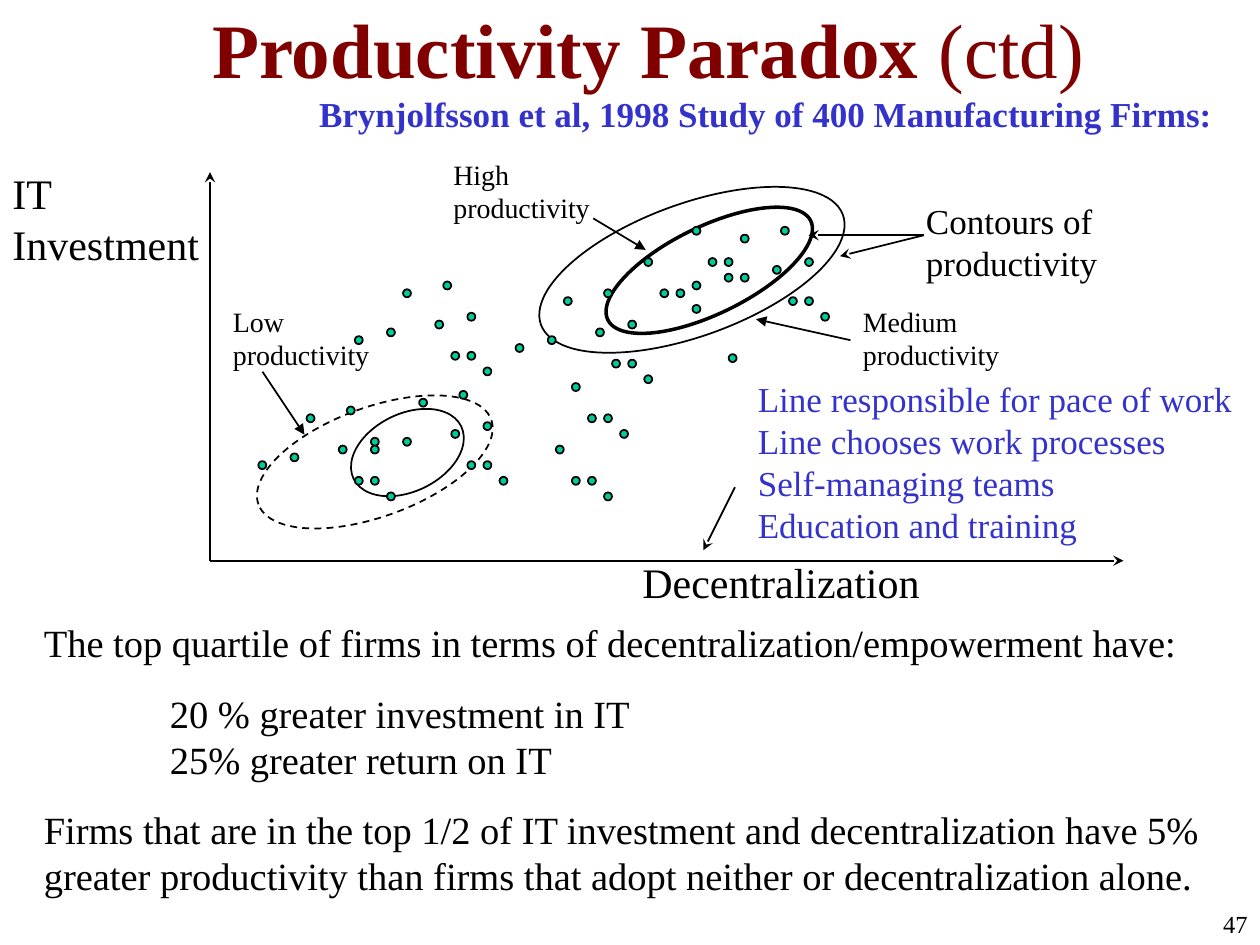
"""Build a slide on productivity, IT investment and decentralization."""
from lxml import etree
from pptx import Presentation
from pptx.dml.color import RGBColor
from pptx.enum.dml import MSO_LINE
from pptx.enum.shapes import MSO_CONNECTOR, MSO_SHAPE
from pptx.enum.text import MSO_ANCHOR, MSO_AUTO_SIZE, PP_ALIGN
from pptx.oxml.ns import qn
from pptx.util import Inches, Pt

BLACK = RGBColor(0x00, 0x00, 0x00)
MAROON = RGBColor(0x80, 0x00, 0x00)
BLUE = RGBColor(0x33, 0x33, 0xCC)
GREEN = RGBColor(0x00, 0xCC, 0x99)
FONT = "Times New Roman"
OVAL = MSO_SHAPE.OVAL
LINE = MSO_CONNECTOR.STRAIGHT
DASH = MSO_LINE.DASH
LEFT, RIGHT = PP_ALIGN.LEFT, PP_ALIGN.RIGHT
MIDDLE = MSO_ANCHOR.MIDDLE
FIXED = MSO_AUTO_SIZE.NONE

COLS, ROWS = 120, 90
CELL = Inches(10) / COLS
DOT = 0.76
DOT_X, DOT_Y = 24.6, 21.6
STEP_X, STEP_Y = 53.6 / 70, 25.3 / 34

FIRMS = {
    0: [54, 65], 1: [60], 4: [48, 56, 58, 68], 5: [64], 6: [58, 60],
    7: [23, 54], 8: [18, 43, 50, 52], 9: [38, 66, 68], 10: [54],
    11: [26, 70], 12: [22, 46], 13: [16, 42], 14: [12, 36], 15: [32],
    16: [24, 26], 16.3: [58.5], 17: [44, 46], 18: [28], 19: [48],
    20: [39], 21: [25], 22: [20], 23: [11], 24: [6, 41, 43], 25: [28],
    26: [24, 45], 27: [14, 18], 28: [10, 14, 37], 29: [4],
    30: [0, 26, 28], 32: [12, 14, 30, 39, 41], 34: [16, 43],
}
RINGS = [
    ((33.1, 39.4, 11.4, 7.4), 334, 1, None),
    ((56.8, 21.6, 21.5, 8.3), 334, 2, None),
    ((23.9, 38.8, 23.6, 10.4), 340, 1, DASH),
    ((50.6, 19.4, 30.6, 12.6), 340, 1, None),
]
ARROWS = [
    ((20, 53.4, 20, 16.4), "stealth"),
    ((20, 53.4, 107, 53.4), "stealth"),
    ((88, 22.4, 77, 22.4), "stealth"),
    ((88, 22.4, 80, 24.4), "stealth"),
    ((70, 46.4, 67, 52.4), "stealth"),
    ((25, 35.4, 29, 41.4), "triangle"),
    ((56.5, 20.8, 61.5, 23.8), "triangle"),
    ((81, 32.4, 72, 30.4), "triangle"),
]
LABELS = [
    ((87, 18.4, 22, 9.2), "Contours of productivity", 20, BLACK),
    ((0, 15.4, 22, 10.8), "IT Investment", 24, BLACK),
    ((60, 52.4, 41, 6), "Decentralization", 24, BLACK),
    ((71, 35.4, 49, 17.3), "Line responsible for pace of work\n"
     "Line chooses work processes\nSelf-managing teams\n"
     "Education and training", 20, BLUE),
    ((21, 28.4, 18, 7.7), "Low\nproductivity", 16, BLACK),
    ((42, 14.4, 18, 7.7), "High\nproductivity", 16, BLACK),
    ((81, 28.4, 18, 7.7), "Medium\nproductivity", 16, BLACK),
]
FINDINGS = [
    ("The top quartile of firms in terms of "
     "decentralization/empowerment have:", 0),
    ("20 % greater investment in IT\n25% greater return on IT", 1),
    ("Firms that are in the top 1/2 of IT investment and decentralization "
     "have 5% greater productivity than firms that adopt neither or "
     "decentralization alone.", 0),
]


def grid(*vals):
    """Turn grid cells into lengths."""
    return [round(val * CELL) for val in vals]


def write(para, text, size, color, bold=False):
    """Add one run per line of text to a paragraph."""
    for num, part in enumerate(text.split("\n")):
        if num:
            para.add_line_break()
        run = para.add_run()
        run.text = part
        font = run.font
        font.name, font.size, font.bold = FONT, Pt(size), bold
        font.color.rgb = color


def add_box(slide, box):
    """Add an empty wrapping text box and return its frame."""
    frame = slide.shapes.add_textbox(*grid(*box)).text_frame
    frame.word_wrap = True
    return frame


def add_label(slide, box, text, size, color, bold=False, align=LEFT):
    """Add a text box with one paragraph."""
    para = add_box(slide, box).paragraphs[0]
    para.alignment = align
    write(para, text, size, color, bold)


def add_title(slide):
    """Place and fill the title."""
    title = slide.shapes.title
    title.left, title.top, title.width, title.height = grid(19, 1, 101, 7)
    frame = title.text_frame
    frame.auto_size, frame.vertical_anchor = FIXED, MIDDLE
    para = frame.paragraphs[0]
    para.alignment = LEFT
    write(para, "Productivity Paradox ", 44, MAROON, True)
    write(para, "(ctd)", 44, MAROON)


def add_oval(slide, box, width=1, fill=None):
    """Add an outlined ellipse."""
    oval = slide.shapes.add_shape(OVAL, *grid(*box))
    oval.shadow.inherit = False
    if fill is None:
        oval.fill.background()
    else:
        oval.fill.solid()
        oval.fill.fore_color.rgb = fill
    oval.line.color.rgb = BLACK
    oval.line.width = Pt(width)
    return oval


def add_ring(slide, box, turn, width, dash):
    """Add a tilted productivity contour."""
    ring = add_oval(slide, box, width)
    ring.rotation = turn
    if dash:
        ring.line.dash_style = dash


def add_arrow(slide, ends, head):
    """Add a line with an arrowhead at its end."""
    arrow = slide.shapes.add_connector(LINE, *grid(*ends))
    arrow.line.color.rgb = BLACK
    arrow.line.width = Pt(1)
    props = arrow.element.spPr
    etree.SubElement(props.find(qn("a:ln")), qn("a:tailEnd"), type=head)
    etree.SubElement(props, qn("a:effectLst"))


def add_firms(slide):
    """Scatter the firms over the plot."""
    for row, cols in FIRMS.items():
        for col in cols:
            spot = (DOT_X + col * STEP_X, DOT_Y + row * STEP_Y, DOT, DOT)
            add_oval(slide, spot, fill=GREEN)


def add_body(slide):
    """Add the findings below the plot."""
    frame = add_box(slide, (3, 58.4, 115, 27.8))
    for num, (text, level) in enumerate(FINDINGS):
        para = frame.add_paragraph() if num else frame.paragraphs[0]
        if num:
            para.space_before = Pt(13.8)
        if level:
            props = para._p.get_or_add_pPr()
            props.set("marL", str(Inches(level)))
            props.set("indent", "0")
        write(para, text, 22, BLACK)


def main():
    """Build and save the slide."""
    deck = Presentation()
    deck.slide_width, deck.slide_height = grid(COLS, ROWS)
    slide = deck.slides.add_slide(deck.slide_layouts[5])
    add_title(slide)
    add_label(slide, (103, 86, 17, 4), "47", 14, BLACK, align=RIGHT)
    add_label(slide, (29.2, 8.2, 87.5, 5.2),
              "Brynjolfsson et al, 1998 Study of 400 Manufacturing Firms:",
              20, BLUE, True)
    for ring in RINGS:
        add_ring(slide, *ring)
    add_firms(slide)
    add_body(slide)
    for label in LABELS:
        add_label(slide, *label)
    for arrow in ARROWS:
        add_arrow(slide, *arrow)
    deck.save("out.pptx")


if __name__ == "__main__":
    main()
